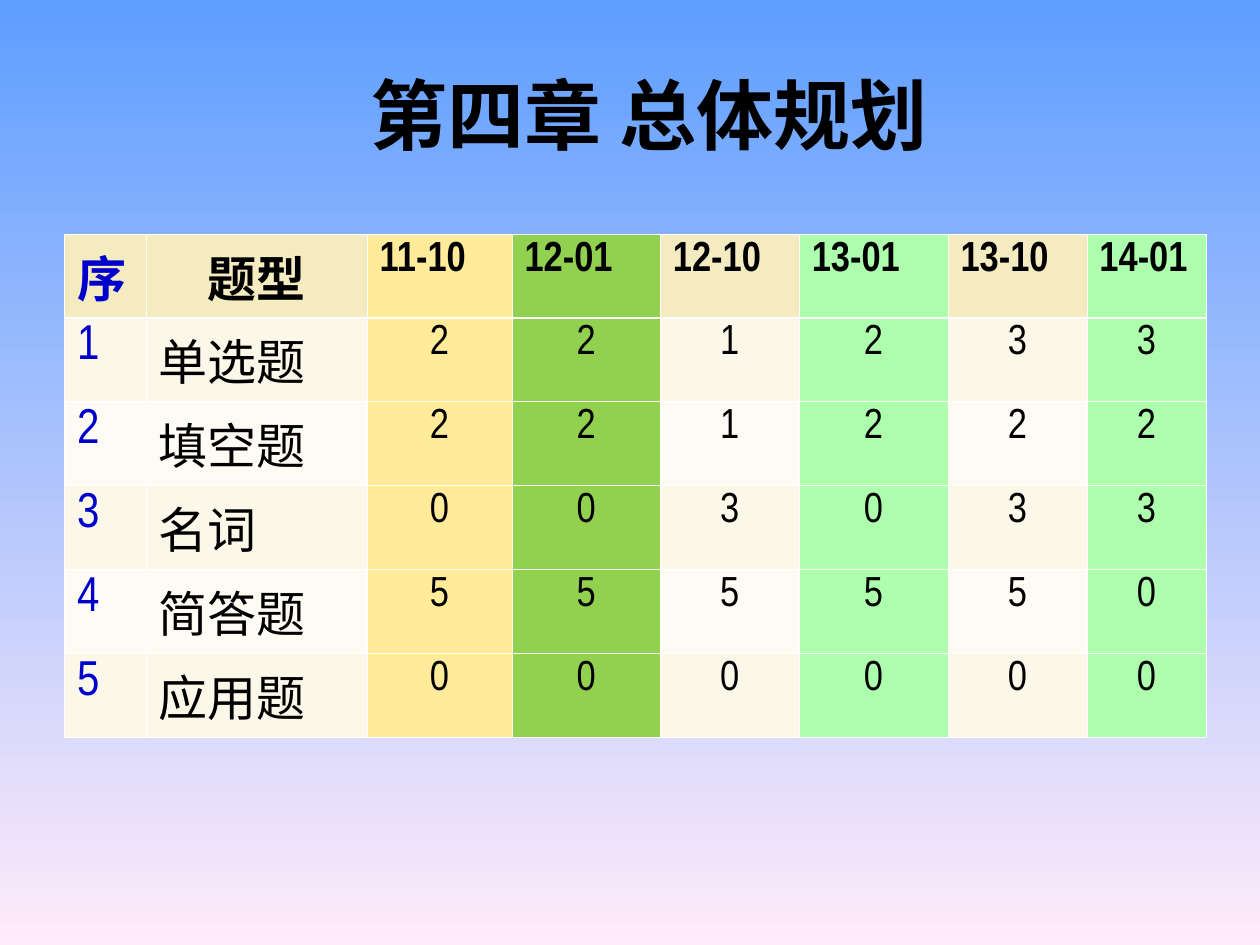
from lxml.etree import SubElement
from pptx import Presentation
from pptx.dml.color import RGBColor
from pptx.enum.lang import MSO_LANGUAGE_ID
from pptx.enum.text import MSO_ANCHOR, PP_ALIGN
from pptx.oxml.ns import qn
from pptx.util import Cm, Pt

FONT = "Arial Narrow"
BLACK = RGBColor(0x00, 0x00, 0x00)
WHITE = RGBColor(0xFF, 0xFF, 0xFF)
BLUE = RGBColor(0x00, 0x00, 0xCC)
SKY = RGBColor(0x5E, 0x9E, 0xFF)
PINK = RGBColor(0xFF, 0xEB, 0xFA)
SAND = RGBColor(0xF5, 0xEB, 0xC1)
CREAM = RGBColor(0xFB, 0xF7, 0xE9)
IVORY = RGBColor(0xFD, 0xFB, 0xF4)
GOLD = RGBColor(0xFF, 0xEB, 0x99)
GREEN = RGBColor(0x92, 0xD0, 0x50)
MINT = RGBColor(0xAD, 0xFF, 0xAD)

HEAD = ["序", "题型", "11-10", "12-01", "12-10", "13-01", "13-10", "14-01"]
KINDS = {
    "单选题": [2, 2, 1, 2, 3, 3],
    "填空题": [2, 2, 1, 2, 2, 2],
    "名词": [0, 0, 3, 0, 3, 3],
    "简答题": [5, 5, 5, 5, 5, 0],
    "应用题": [0, 0, 0, 0, 0, 0],
}
WIDTHS = [1.65, 4.45, 2.92, 2.99, 2.8, 3, 2.8, 2.4]
TINTS = {2: GOLD, 3: GREEN, 5: MINT, 7: MINT}  # columns with their own fill


def write(frame, text, size=24, color=BLACK, bold=False, align=PP_ALIGN.LEFT):
    par = frame.paragraphs[0]
    par.alignment = align
    run = par.add_run()
    run.text = text
    font = run.font
    font.name, font.size, font.bold = FONT, Pt(size), bold
    font.color.rgb = color
    font.language_id = MSO_LANGUAGE_ID.SIMPLIFIED_CHINESE


def edge(cell, **widths):
    """Draw white borders; keys are L, R, T and B, values are points."""
    props = cell._tc.get_or_add_tcPr()
    for side, width in widths.items():
        line = SubElement(props, qn(f"a:ln{side}"), w=str(Pt(width)))
        fill = SubElement(line, qn("a:solidFill"))
        SubElement(fill, qn("a:srgbClr"), val=str(WHITE))


def paint(slide):
    fill = slide.background.fill
    fill.gradient()
    fill.gradient_angle = 270
    for stop, color, place in zip(fill.gradient_stops, (SKY, PINK), (0, 1)):
        stop.color.rgb = color
        stop.position = place


def add_title(slide, left, top, width, height):
    title = slide.shapes.title
    title.left, title.top = Cm(left), Cm(top)
    title.width, title.height = Cm(width), Cm(height)
    title.text_frame.vertical_anchor = MSO_ANCHOR.MIDDLE
    write(title.text_frame, "第四章 总体规划", size=44, bold=True,
          align=PP_ALIGN.CENTER)


def add_grid(slide, left, top, width, height):
    rows = [HEAD] + [[i, kind, *counts]
                     for i, (kind, counts) in enumerate(KINDS.items(), 1)]
    table = slide.shapes.add_table(len(rows), len(HEAD), Cm(left), Cm(top),
                                   Cm(width), Cm(height)).table
    for col, size in zip(table.columns, WIDTHS):
        col.width = Cm(size * width / sum(WIDTHS))

    for r, row in enumerate(rows):
        table.rows[r].height = Cm(height / len(rows))
        band = SAND if r == 0 else CREAM if r % 2 else IVORY
        for c, value in enumerate(row):
            cell = table.cell(r, c)
            edge(cell, L=0.45, R=0.45, T=1.47 if r == 1 else 0.45,
                 B=1.47 if r == 0 else 0.45)
            cell.fill.solid()
            cell.fill.fore_color.rgb = TINTS.get(c, band)
            # Header centres only the kind; body centres only the counts
            middle = c == 1 if r == 0 else c > 1
            write(cell.text_frame, str(value), size=28 if c < 2 else 24,
                  color=BLUE if c == 0 else BLACK, bold=r == 0,
                  align=PP_ALIGN.CENTER if middle else PP_ALIGN.LEFT)


def main():
    deck = Presentation()
    deck.slide_width, deck.slide_height = Cm(25.4), Cm(19.05)
    slide = deck.slides.add_slide(deck.slide_layouts[5])
    paint(slide)
    add_title(slide, 2.29, 0.71, 21.59, 3.18)
    add_grid(slide, 1.3, 4.72, 23.01, 10.14)
    deck.save("out.pptx")


if __name__ == "__main__":
    main()
